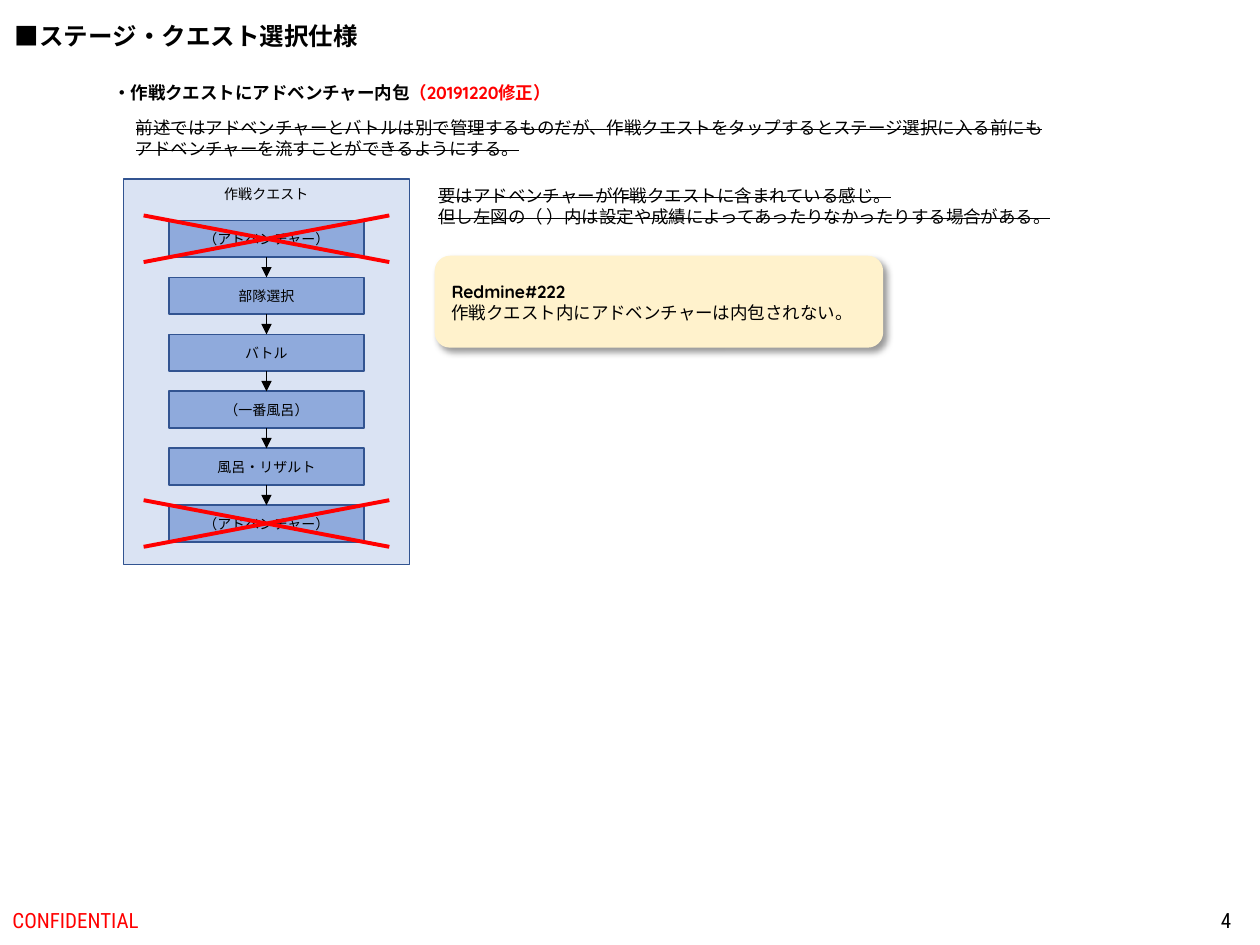
from lxml.etree import SubElement
from pptx import Presentation
from pptx.dml.color import RGBColor
from pptx.enum.shapes import MSO_CONNECTOR as LineKind, MSO_SHAPE as Preset
from pptx.enum.text import MSO_ANCHOR as Anchor, MSO_AUTO_SIZE as AutoSize, PP_ALIGN as Align
from pptx.oxml.ns import qn
from pptx.util import Inches, Pt

COLORS = {
    "black": "000000",
    "red": "FF0000",
    "panel": "DAE3F3",
    "step": "8FAADC",
    "border": "325491",
    "note": "FFF2CC",
}


def color(name):
    return RGBColor.from_string(COLORS[name])


class SlideBuilder:
    font = "Quicksand"
    size = 10

    def __init__(self, slide):
        self.slide = slide

    def fill_text(self, frame, paragraphs, align=Align.LEFT, anchor=Anchor.TOP, size=None, font=None):
        frame.vertical_anchor = anchor
        for index, runs in enumerate(paragraphs):
            paragraph = frame.paragraphs[0] if index == 0 else frame.add_paragraph()
            paragraph.alignment = align
            for words, style in runs:
                run = paragraph.add_run()
                run.text = words
                run.font.name = font or self.font
                run.font.size = Pt(size or self.size)
                run.font.bold = style.get("bold", False)
                run.font.color.rgb = color(style.get("color", "black"))
                if style.get("strike"):
                    run._r.get_or_add_rPr().set("strike", "sngStrike")

    def text(self, box, paragraphs, wrap=False, **style):
        frame = self.slide.shapes.add_textbox(*map(Inches, box)).text_frame
        frame.word_wrap = wrap
        frame.auto_size = AutoSize.NONE if wrap else AutoSize.SHAPE_TO_FIT_TEXT
        self.fill_text(frame, paragraphs, **style)

    def shape(self, parent, preset, box, fill, paragraphs, border=None, **style):
        shape = parent.shapes.add_shape(preset, *map(Inches, box))
        shape.shadow.inherit = False
        shape.fill.solid()
        shape.fill.fore_color.rgb = color(fill)
        if border:
            shape.line.color.rgb = color(border)
            shape.line.width = Pt(1)
        else:
            shape.line.fill.background()
        shape.text_frame.word_wrap = True
        self.fill_text(shape.text_frame, paragraphs, **style)
        return shape

    def line(self, parent, start, end, name, width):
        line = parent.shapes.add_connector(LineKind.STRAIGHT, *map(Inches, start + end))
        line.line.color.rgb = color(name)
        line.line.width = Pt(width)
        SubElement(line._element.spPr, qn("a:effectLst"))
        return line

    def arrow(self, parent, upper, lower):
        middle = (upper.left + upper.width / 2) / Inches(1)
        start = (middle, (upper.top + upper.height) / Inches(1))
        end = (middle, lower.top / Inches(1))
        arrow = self.line(parent, start, end, "black", 1)
        arrow.begin_connect(upper, 2)
        arrow.end_connect(lower, 0)
        SubElement(arrow._element.spPr.find(qn("a:ln")), qn("a:tailEnd"), type="triangle")

    def cross(self, left, top, right, bottom):
        group = self.slide.shapes.add_group_shape()
        self.line(group, (left, top), (right, bottom), "red", 2.25)
        self.line(group, (right, top), (left, bottom), "red", 2.25)

    def cast_shadow(self, shape):
        effects = shape._element.spPr.find(qn("a:effectLst"))
        shadow = SubElement(effects, qn("a:outerShdw"), blurRad=str(Pt(4)), dist=str(Pt(3)),
                            dir=str(45 * 60000), algn="tl", rotWithShape="0")
        tint = SubElement(shadow, qn("a:srgbClr"), val=COLORS["black"])
        SubElement(tint, qn("a:alpha"), val="40000")


def main():
    deck = Presentation()
    deck.slide_width, deck.slide_height = Inches(10), Inches(7.5)
    page = SlideBuilder(deck.slides.add_slide(deck.slide_layouts[6]))
    bold, strike = {"bold": True}, {"strike": True}

    page.text((0.02, 0.12, 2.95, 0.34), [[("■ステージ・クエスト選択仕様", bold)]], size=14, font="Arial")
    footer = {"wrap": True, "anchor": Anchor.MIDDLE, "size": 12, "font": "Roboto Condensed"}
    page.text((0, 7.1, 3.38, 0.4), [[("CONFIDENTIAL", {"color": "red"})]], **footer)
    page.text((7.62, 7.1, 2.25, 0.4), [[("4", {})]], align=Align.RIGHT, **footer)

    page.text((0.8, 0.6, 3.78, 0.27), [[
        ("・作戦クエストにアドベンチャー内包", bold),
        ("（20191220修正）", {"bold": True, "color": "red"}),
    ]])
    page.text((0.98, 0.88, 7.78, 0.44), [
        [("前述ではアドベンチャーとバトルは別で管理するものだが、作戦クエストをタップするとステージ選択に入る前にも", strike)],
        [("アドベンチャーを流すことができるようにする。", strike)],
    ])

    flow = page.slide.shapes.add_group_shape()
    label = {"border": "border", "align": Align.CENTER, "size": 8}
    page.shape(flow, Preset.RECTANGLE, (0.98, 1.42, 2.27, 3.06), "panel",
               [[("作戦クエスト", {})]], **label)

    step_names = ["（アドベンチャー）", "部隊選択", "バトル", "（一番風呂）", "風呂・リザルト", "（アドベンチャー）"]
    left, width, height = 1.34, 1.55, 0.29
    first_top, last_top = 1.75, 4.01
    pitch = (last_top - first_top) / (len(step_names) - 1)
    steps = [
        page.shape(flow, Preset.RECTANGLE, (left, first_top + pitch * index, width, height), "step",
                   [[(name, {})]], anchor=Anchor.MIDDLE, **label)
        for index, name in enumerate(step_names)
    ]
    for upper, lower in zip(steps, steps[1:]):
        page.arrow(flow, upper, lower)

    page.text((3.38, 1.42, 5.15, 0.44), [
        [("要はアドベンチャーが作戦クエストに含まれている感じ。", strike)],
        [("但し左図の（ ）内は設定や成績によってあったりなかったりする場合がある。", strike)],
    ])

    for top in (first_top, last_top):
        page.cross(left - 0.2, top - 0.04, left + width + 0.2, top + height + 0.04)

    note = page.shape(page.slide, Preset.ROUNDED_RECTANGLE, (3.45, 2.03, 3.56, 0.73), "note", [
        [("Redmine#222", bold)],
        [("作戦クエスト内にアドベンチャーは内包されない。", {})],
    ], anchor=Anchor.MIDDLE)
    page.cast_shadow(note)

    deck.save("out.pptx")


if __name__ == "__main__":
    main()
